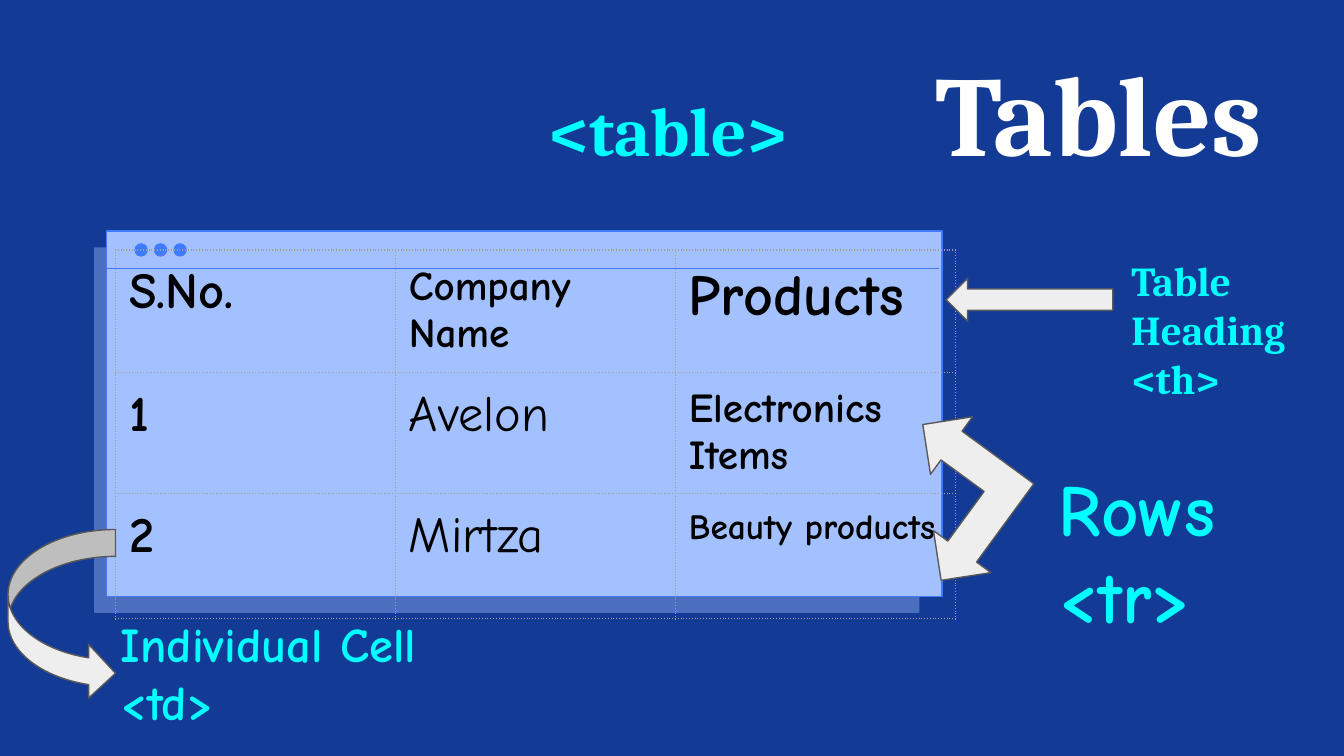
from lxml import etree
from pptx import Presentation
from pptx.dml.color import RGBColor
from pptx.enum import shapes, text
from pptx.oxml.ns import qn
from pptx.util import Inches, Pt

COLORS = {"navy": "133B96", "pane": "A4C1FF", "frame": "407BFF", "cyan": "00FFFF",
          "white": "FFFFFF", "black": "000000", "arrow": "EEEEEE",
          "outline": "595959", "grid": "9E9E9E"}
SERIF, COMIC = "Cambria", "Comic Neue"

# Content: title words as (text, size, colour, tab stop)
TITLE = [("<table>", 37, "cyan", 2.92), ("Tables", 61, "white", 5.8)]
# Cells as (text, size, bold)
ROWS = [
    [("S.No.", 27, True), ("Company\nName", 22, True), ("Products", 31, True)],
    [("1", 27, True), ("Avelon", 27, False), ("Electronics Items", 22, True)],
    [("2", 27, True), ("Mirtza", 27, False), ("Beauty products", 19, True)],
]
ROW_HEIGHTS = [0.91, 0.9, 0.93]
TABLE_WIDTH = 6.25
# Labels as (text, size, font, box)
LABELS = [
    ("Rows <tr>", 39, COMIC, (7.78, 3.35, 1.9, 1.52)),
    ("Table Heading\n<th>", 22, SERIF, (8.32, 1.8, 1.43, 1.31)),
    ("Individual Cell <td>", 26, COMIC, (0.8, 4.47, 2.55, 1.08)),
]
# Arrows as (preset, box, rotation)
SHAPE = shapes.MSO_SHAPE
ARROWS = [
    (SHAPE.LEFT_UP_ARROW, (6.56, 3.18, 1.12, 1.06), 306.2),
    (SHAPE.LEFT_ARROW, (7.04, 2.07, 1.24, 0.32), 0),
    (SHAPE.CURVED_RIGHT_ARROW, (0.06, 3.94, 0.8, 1.27), 0),
]
WINDOW = (0.79, 1.72, 6.22, 2.72)
SHADOW = [(0.7, 1.84), (0.7, 4.56), (6.84, 4.56), (6.84, 4.31), (1.11, 1.84)]


def rgb(name):
    return RGBColor.from_string(COLORS[name])


def inches(box):
    return [Inches(value) for value in box]


def paint(shape, fill, line=None):
    shape.shadow.inherit = False
    shape.fill.solid()
    shape.fill.fore_color.rgb = rgb(fill)
    if line:
        shape.line.color.rgb = rgb(line)
        shape.line.width = Pt(0.75)
    else:
        shape.line.fill.background()


def style(font, size, face, color, bold=True):
    font.size, font.name, font.bold = Pt(size), face, bold
    font.color.rgb = rgb(color)


def write(frame, words, *look):
    frame.text = words
    for paragraph in frame.paragraphs:
        for run in paragraph.runs:
            style(run.font, *look)


def pad(frame):
    frame.margin_left = frame.margin_right = Inches(0.1)
    frame.margin_top = frame.margin_bottom = Inches(0.1)
    frame.word_wrap = True


def dot_borders(cell):
    properties = cell._tc.get_or_add_tcPr()
    for position, side in enumerate(("a:lnL", "a:lnR", "a:lnT", "a:lnB")):
        border = etree.Element(qn(side), w=str(Pt(0.75)))
        fill = etree.SubElement(border, qn("a:solidFill"))
        etree.SubElement(fill, qn("a:srgbClr"), val=COLORS["grid"])
        etree.SubElement(border, qn("a:prstDash"), val="dot")
        properties.insert(position, border)


prs = Presentation()
# A 16:9 slide
prs.slide_width, prs.slide_height = Inches(10), Inches(10 * 9 / 16)
slide = prs.slides.add_slide(prs.slide_layouts[5])
slide.background.fill.solid()
slide.background.fill.fore_color.rgb = rgb("navy")
canvas = slide.shapes

# Browser window with its shadow, title bar and buttons
outline = canvas.build_freeform(*inches(SHADOW[0]), scale=1.0)
outline.add_line_segments([inches(point) for point in SHADOW[1:]], close=True)
shadow = outline.convert_to_shape()
paint(shadow, "pane")
shade = shadow._element.spPr.find(qn("a:solidFill"))[0]
etree.SubElement(shade, qn("a:alpha"), val="39000")
paint(canvas.add_shape(SHAPE.RECTANGLE, *inches(WINDOW)), "pane", "frame")
for index in range(3):
    button = canvas.add_shape(SHAPE.OVAL, *inches((1 + 0.145 * index, 1.81, 0.1, 0.1)))
    paint(button, "frame")
bar = canvas.add_connector(shapes.MSO_CONNECTOR.STRAIGHT, *inches((0.79, 2, 6.99, 2)))
bar.line.color.rgb = rgb("frame")
bar.line.width = Pt(0.75)
etree.SubElement(bar._element.spPr, qn("a:effectLst"))

# Title: each word starts at its own tab stop
title = canvas.title
title.left, title.top, title.width, title.height = inches((1.06, 0.22, 8.45, 1.14))
pad(title.text_frame)
title.text_frame.margin_right = 0
title.text_frame.auto_size = text.MSO_AUTO_SIZE.NONE
title.text_frame.vertical_anchor = text.MSO_ANCHOR.TOP
heading = title.text_frame.paragraphs[0]
heading.alignment = text.PP_ALIGN.LEFT
stops = etree.SubElement(heading._p.get_or_add_pPr(), qn("a:tabLst"))
for words, size, color, stop in TITLE:
    etree.SubElement(stops, qn("a:tab"), pos=str(Inches(stop)), algn="l")
    run = heading.add_run()
    run.text = "\t" + words
    style(run.font, size, SERIF, color)

# Table of companies
columns = len(ROWS[0])
table = canvas.add_table(len(ROWS), columns, *inches(
    (0.86, 1.86, TABLE_WIDTH, sum(ROW_HEIGHTS)))).table
table.first_row = table.horz_banding = False
for column in table.columns:
    column.width = Inches(TABLE_WIDTH / columns)
for r, (row, height) in enumerate(zip(ROWS, ROW_HEIGHTS)):
    table.rows[r].height = Inches(height)
    for c, (words, size, bold) in enumerate(row):
        cell = table.cell(r, c)
        cell.fill.background()
        dot_borders(cell)
        pad(cell)
        write(cell.text_frame, words, size, COMIC, "black", bold)

# Arrows and their labels
for preset, box, rotation in ARROWS:
    arrow = canvas.add_shape(preset, *inches(box))
    arrow.rotation = rotation
    paint(arrow, "arrow", "outline")
for words, size, face, box in LABELS:
    label = canvas.add_textbox(*inches(box)).text_frame
    pad(label)
    write(label, words, size, face, "cyan")

prs.save("out.pptx")
